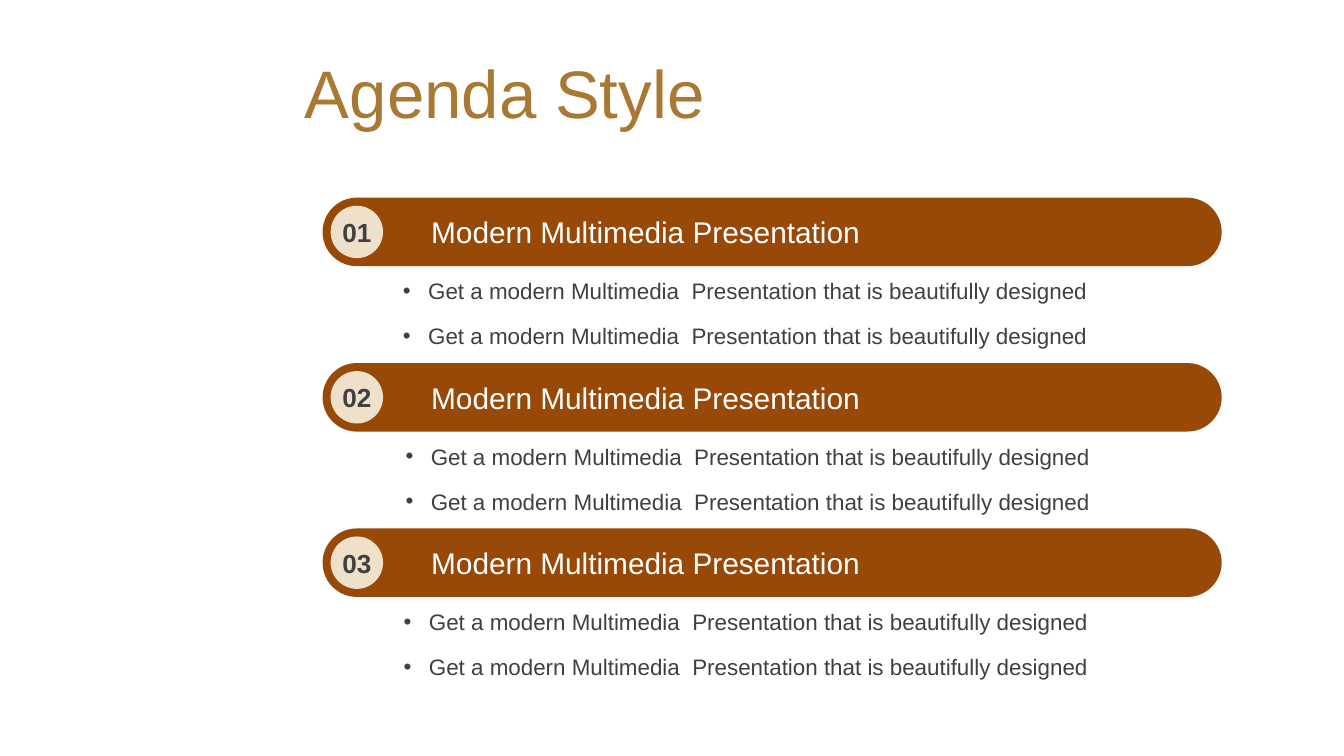
import pptx
import pptx.dml.color
import pptx.enum.shapes
import pptx.enum.text
import pptx.oxml
import pptx.oxml.ns
import pptx.util

Pt = pptx.util.Pt
Shape = pptx.enum.shapes.MSO_SHAPE
Align = pptx.enum.text.PP_ALIGN
Anchor = pptx.enum.text.MSO_ANCHOR
AutoSize = pptx.enum.text.MSO_AUTO_SIZE


def color(value):
    return pptx.dml.color.RGBColor.from_string(value)


class AgendaPage:
    font = "Arial"
    gold = "A97933"
    brown = "984807"
    cream = "EFE0CA"
    gray = "404040"
    white = "FFFFFF"
    bullet_indent = 13.5

    def __init__(self, deck):
        self.page = deck.slides.add_slide(deck.slide_layouts[5])
        fill = self.page.background.fill
        fill.solid()
        fill.fore_color.rgb = color(self.white)

    def place(self, box, left, top, width, height):
        box.left, box.top = Pt(left), Pt(top)
        box.width, box.height = Pt(width), Pt(height)

    def add_span(self, para, text, size, ink, bold=False):
        span = para.add_run()
        span.text = text
        span.font.name = self.font
        span.font.size = Pt(size)
        span.font.bold = bold
        span.font.color.rgb = color(ink)

    def title(self, text, left, top, width, height):
        box = self.page.shapes.title
        self.place(box, left, top, width, height)
        frame = box.text_frame
        frame.auto_size = AutoSize.NONE
        frame.word_wrap = True
        frame.vertical_anchor = Anchor.MIDDLE
        para = frame.paragraphs[0]
        para.alignment = Align.LEFT
        self.add_span(para, text, 36, self.gold)

    def shape(self, kind, left, top, width, height, fill):
        shape = self.page.shapes.add_shape(
            kind, Pt(left), Pt(top), Pt(width), Pt(height))
        shape.shadow.inherit = False
        shape.fill.solid()
        shape.fill.fore_color.rgb = color(fill)
        shape.line.fill.background()
        return shape

    def bar(self, left, top, width, height):
        bar = self.shape(Shape.ROUNDED_RECTANGLE, left, top, width, height, self.brown)
        bar.adjustments[0] = 0.5

    def disc(self, left, top, diameter):
        self.shape(Shape.OVAL, left, top, diameter, diameter, self.cream)

    def label(self, text, left, top, width, height, size, ink,
              bold=False, align=Align.LEFT, bullet=False):
        box = self.page.shapes.add_textbox(Pt(left), Pt(top), Pt(width), Pt(height))
        frame = box.text_frame
        frame.word_wrap = True
        frame.auto_size = AutoSize.SHAPE_TO_FIT_TEXT
        para = frame.paragraphs[0]
        para.alignment = align
        if bullet:
            self.bullet(para)
        self.add_span(para, text, size, ink, bold)

    def bullet(self, para):
        properties = para._p.get_or_add_pPr()
        indent = Pt(self.bullet_indent)
        properties.set("marL", str(indent))
        properties.set("indent", str(-indent))
        for tag, name, value in (("a:buFont", "typeface", self.font),
                                 ("a:buChar", "char", "•")):
            element = pptx.oxml.xmlchemy.OxmlElement(tag)
            element.set(name, value)
            properties.append(element)

    def section(self, number, top, bullet_left, points):
        self.bar(172.8, top, 481.7, 49.4 - 12.7)
        self.disc(177.1, top + 4.3, 28.1)
        self.label("Modern Multimedia Presentation", 223.9, top + 5.2, 382.3, 26.6,
                   16, self.white)
        self.label(f"{number:02}", 175, top + 6.5, 32.4, 24.2, 14, self.gray,
                   bold=True, align=Align.CENTER)
        for index, text in enumerate(points):
            self.label(text, bullet_left, top + 39.2 + index * 24, 396.7, 21.8,
                       12, self.gray, bullet=True)


def main():
    deck = pptx.Presentation()
    deck.slide_width, deck.slide_height = Pt(720), Pt(405)
    agenda = AgendaPage(deck)
    agenda.title("Agenda Style", 156.2, 26.6, 563.8, 45.4)
    points = ["Get a modern Multimedia  Presentation that is beautifully designed"] * 2
    for index, bullet_left in enumerate((208.8, 210.2, 209.2)):
        agenda.section(index + 1, 105.9 + index * 88.6, bullet_left, points)
    deck.save("out.pptx")


if __name__ == "__main__":
    main()
